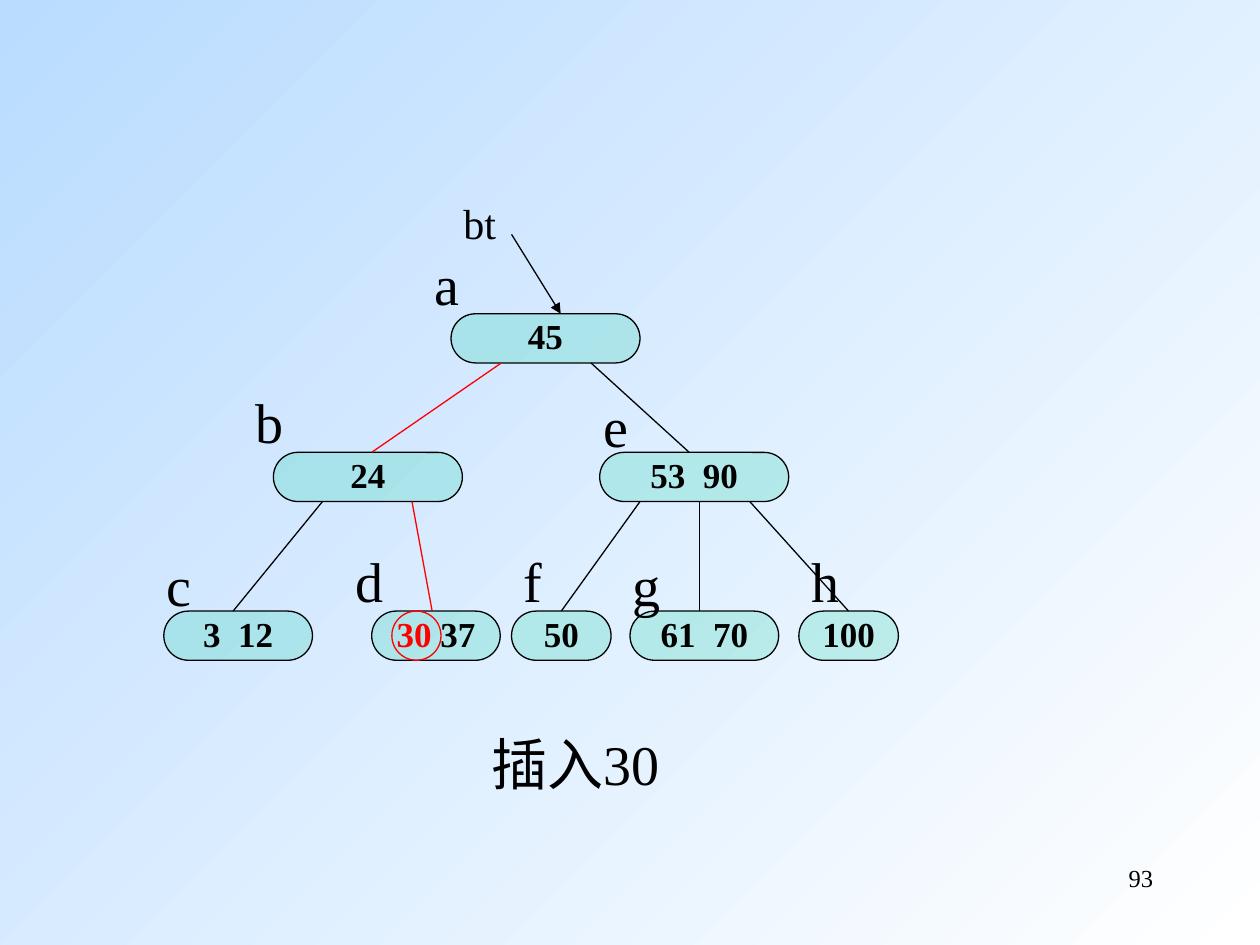
from dataclasses import dataclass

from lxml.etree import SubElement
from pptx import Presentation
from pptx.dml.color import RGBColor
from pptx.enum.shapes import MSO_CONNECTOR, MSO_SHAPE
from pptx.enum.text import MSO_ANCHOR, PP_ALIGN
from pptx.oxml.ns import qn
from pptx.util import Inches, Pt


@dataclass(frozen=True)
class Theme:
    font: str = "Times New Roman"
    ink: RGBColor = RGBColor(0, 0, 0)
    accent: RGBColor = RGBColor(255, 0, 0)
    node: RGBColor = RGBColor(0, 204, 153)
    node_alpha: int = 20
    sky: RGBColor = RGBColor(0xB9, 0xDC, 0xFF)
    white: RGBColor = RGBColor(255, 255, 255)
    label_size: int = 32
    pointer_size: int = 24
    key_size: int = 20
    number_size: int = 14
    line_width: float = 0.75
    line_spacing: float = 0.9


class TreeSlide:
    def __init__(self, slide, theme):
        self.slide = slide
        self.theme = theme

    def background(self):
        fill = self.slide.background.fill
        fill.gradient()
        fill.gradient_angle = 315
        for stop, color in zip(fill.gradient_stops, (self.theme.sky, self.theme.white)):
            stop.color.rgb = color

    def add_runs(self, text_frame, runs, size, align, bold=False):
        paragraph = text_frame.paragraphs[0]
        paragraph.alignment = align
        paragraph.line_spacing = self.theme.line_spacing
        for text, color in runs:
            run = paragraph.add_run()
            run.text = text
            run.font.name = self.theme.font
            run.font.size = Pt(size)
            run.font.bold = bold
            run.font.color.rgb = color

    def text(self, text, left, top, width, height, size, align=PP_ALIGN.LEFT):
        box = self.slide.shapes.add_textbox(
            Inches(left), Inches(top), Inches(width), Inches(height))
        box.text_frame.word_wrap = True
        self.add_runs(box.text_frame, [(text, self.theme.ink)], size, align)

    def outlined(self, kind, left, top, width, height, color):
        shape = self.slide.shapes.add_shape(
            kind, Inches(left), Inches(top), Inches(width), Inches(height))
        shape.shadow.inherit = False
        shape.line.color.rgb = color
        shape.line.width = Pt(self.theme.line_width)
        return shape

    def node(self, runs, left, top, width, height):
        shape = self.outlined(
            MSO_SHAPE.ROUNDED_RECTANGLE, left, top, width, height, self.theme.ink)
        shape.adjustments[0] = 0.5
        shape.fill.solid()
        shape.fill.fore_color.rgb = self.theme.node
        color = shape._element.spPr.find(qn("a:solidFill"))[0]
        SubElement(color, qn("a:alpha"), val=str(self.theme.node_alpha * 1000))
        shape.text_frame.word_wrap = False
        shape.text_frame.vertical_anchor = MSO_ANCHOR.MIDDLE
        self.add_runs(shape.text_frame, runs, self.theme.key_size, PP_ALIGN.CENTER, True)
        return shape

    def ring(self, left, top, diameter):
        shape = self.outlined(
            MSO_SHAPE.OVAL, left, top, diameter, diameter, self.theme.accent)
        shape.fill.background()

    def edge(self, start, end, color, arrow=False):
        connector = self.slide.shapes.add_connector(
            MSO_CONNECTOR.STRAIGHT, *(Inches(value) for value in (*start, *end)))
        connector.line.color.rgb = color
        connector.line.width = Pt(self.theme.line_width)
        properties = connector._element.spPr
        if arrow:
            SubElement(properties.find(qn("a:ln")), qn("a:tailEnd"), type="triangle")
        SubElement(properties, qn("a:effectLst"))
        return connector


def main():
    presentation = Presentation()
    presentation.slide_width = Inches(10)
    presentation.slide_height = Inches(7.5)
    theme = Theme()
    slide = presentation.slides.add_slide(presentation.slide_layouts[6])
    tree = TreeSlide(slide, theme)
    tree.background()
    ink, accent = theme.ink, theme.accent

    tree.text("93", 7.17, 6.83, 2.08, 0.5, theme.number_size, PP_ALIGN.RIGHT)

    node_height = 0.39
    level_tops = [2.49, 3.59, 4.85]
    nodes = [
        ("a", [("45", ink)], 0, 3.58, 1.5, 3.35, 1.99),
        ("b", [("24", ink)], 1, 2.17, 1.5, 1.93, 3.09),
        ("e", [("53  90", ink)], 1, 4.76, 1.5, 4.69, 3.12),
        ("c", [("3  12", ink)], 2, 1.3, 1.18, 1.22, 4.38),
        ("d", [("30", accent), (" 37", ink)], 2, 2.95, 1.02, 2.72, 4.35),
        ("f", [("50", ink)], 2, 4.06, 0.79, 4.06, 4.35),
        ("g", [("61  70", ink)], 2, 5, 1.18, 4.92, 4.38),
        ("h", [("100", ink)], 2, 6.34, 0.79, 6.34, 4.35),
    ]
    shapes = {}
    for name, runs, level, left, width, label_left, label_top in nodes:
        shapes[name] = tree.node(runs, left, level_tops[level], width, node_height)
        tree.text(name, label_left, label_top, 0.39, 0.58, theme.label_size)

    tree.text("bt", 3.58, 1.56, 0.63, 0.46, theme.pointer_size)
    tree.edge((4.06, 1.86), (4.45, level_tops[0]), ink, arrow=True)

    edges = [
        (0, 3.98, 2.95, accent, None),
        (0, 4.69, 5.47, ink, None),
        (1, 2.56, 1.85, ink, None),
        (1, 3.27, 3.43, accent, None),
        (1, 5.08, 4.45, ink, "f"),
        (1, 5.55, 5.55, ink, None),
        (1, 5.95, 6.73, ink, "h"),
    ]
    for level, start, end, color, joined in edges:
        connector = tree.edge(
            (start, level_tops[level] + node_height), (end, level_tops[level + 1]), color)
        if joined:
            connector.end_connect(shapes[joined], 0)

    tree.ring(3.11, level_tops[2], node_height)
    tree.text("插入30", 2.72, 5.8, 3.7, 0.58, theme.label_size, PP_ALIGN.CENTER)

    presentation.save("out.pptx")


if __name__ == "__main__":
    main()
